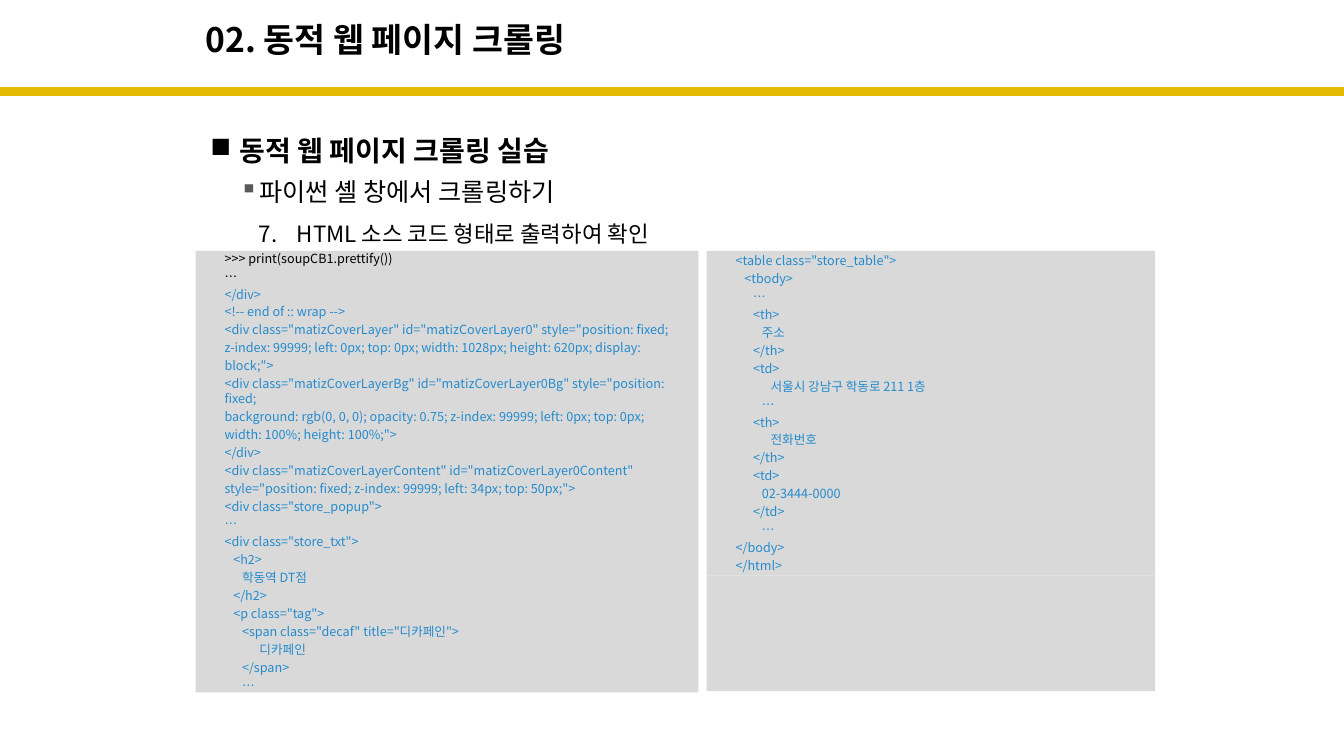
from lxml.etree import SubElement
from pptx import Presentation
from pptx.dml.color import RGBColor
from pptx.enum.shapes import MSO_CONNECTOR, MSO_SHAPE
from pptx.enum.text import MSO_ANCHOR, PP_ALIGN
from pptx.oxml.ns import qn
from pptx.util import Cm, Pt

NOTO = "Noto Sans CJK KR"
BLACK, BLUE, GRAY, GOLD = "000000", "258BCD", "D9D9D9", "E4B902"
STEP = 0.22  # code indent per leading space

LEFT = '''>>> print(soupCB1.prettify())
…
</div>
<!-- end of :: wrap -->
<div class="matizCoverLayer" id="matizCoverLayer0" style="position: fixed;
z-index: 99999; left: 0px; top: 0px; width: 1028px; height: 620px; display:
block;">
<div class="matizCoverLayerBg" id="matizCoverLayer0Bg" style="position: fixed;
background: rgb(0, 0, 0); opacity: 0.75; z-index: 99999; left: 0px; top: 0px;
width: 100%; height: 100%;">
</div>
<div class="matizCoverLayerContent" id="matizCoverLayer0Content"
style="position: fixed; z-index: 99999; left: 34px; top: 50px;">
<div class="store_popup">
…
<div class="store_txt">
 <h2>
  학동역 DT점
 </h2>
 <p class="tag">
  <span class="decaf" title="디카페인">
    디카페인
  </span>
  …'''

RIGHT = '''<table class="store_table">
 <tbody>
  …
  <th>
   주소
  </th>
  <td>
    서울시 강남구 학동로 211 1층
   …
  <th>
    전화번호
  </th>
  <td>
   02-3444-0000
  </td>
   …
</body>
</html>'''


def color(text):
    return RGBColor.from_string(text)


def put(item, **form):
    for name, value in form.items():
        setattr(item, name, value)


def write(para, text, size, tint=BLACK, bold=False, face=NOTO, **form):
    run = para.add_run()
    run.text = text
    put(run.font, name=face, size=Pt(size), bold=bold)
    run.font.color.rgb = color(tint)
    SubElement(run.font._element, qn("a:ea")).set("typeface", NOTO)
    put(para, **{"alignment": PP_ALIGN.LEFT, **form})


def indent(para, margin, hang=0):
    props = para._p.get_or_add_pPr()
    props.set("marL", str(Cm(margin)))
    props.set("indent", str(Cm(-hang)))
    return props


def paras(frame, count):
    return [frame.paragraphs[0]] + [frame.add_paragraph() for _ in range(count - 1)]


def header(slide, box):
    # Title and the rule below it
    title = slide.shapes.title
    left, top, width, height = map(Cm, box)
    put(title, left=left, top=top, width=width, height=height)
    put(title.text_frame, vertical_anchor=MSO_ANCHOR.MIDDLE, word_wrap=True)
    write(title.text_frame.paragraphs[0], "02. 동적 웹 페이지 크롤링", 24,
          bold=True, line_spacing=0.9)
    y = Cm(box[1] + box[3] + 0.51)
    rule = slide.shapes.add_connector(MSO_CONNECTOR.STRAIGHT, 0, y, deck.slide_width, y)
    rule.line.color.rgb = color(GOLD)
    rule.line.width = Pt(6)
    SubElement(rule._element.spPr, qn("a:effectLst"))


def outline(slide, box):
    # Heading, bullet and numbered step
    frame = slide.shapes.add_textbox(*map(Cm, box)).text_frame
    frame.word_wrap = True
    rows = [
        ("동적 웹 페이지 크롤링 실습", 20, True, "Arial", 0.74, 0.74, 36, 0, 0, "■", BLACK),
        ("파이썬 셸 창에서 크롤링하기", 18, False, NOTO, 1.24, 0.5, 23, 5, 4, "▪", "595959"),
        ("HTML 소스 코드 형태로 출력하여 확인", 16, False, NOTO, 2.18, 0.96, 20, 5, 3, 7, BLACK),
    ]
    for para, row in zip(paras(frame, len(rows)), rows):
        text, size, bold, face, margin, hang, line, before, after, mark, tint = row
        write(para, text, size, bold=bold, face=face, line_spacing=Pt(line),
              space_before=Pt(before), space_after=Pt(after))
        props = indent(para, margin, hang)
        fill = SubElement(props, qn("a:buClr"))
        SubElement(fill, qn("a:srgbClr")).set("val", tint)
        if isinstance(mark, int):
            auto = SubElement(props, qn("a:buAutoNum"))
            auto.set("type", "arabicPeriod")
            auto.set("startAt", str(mark))
        else:
            SubElement(props, qn("a:buChar")).set("char", mark)


def panel(slide, box, code="", dark=0):
    # Gray code panel; the first `dark` lines are black
    shape = slide.shapes.add_shape(MSO_SHAPE.RECTANGLE, *map(Cm, box))
    shape.shadow.inherit = False
    shape.fill.solid()
    shape.fill.fore_color.rgb = color(GRAY)
    shape.line.fill.background()
    frame = shape.text_frame
    put(frame, word_wrap=True, vertical_anchor=MSO_ANCHOR.MIDDLE)
    lines = code.splitlines()
    for spot, (para, line) in enumerate(zip(paras(frame, len(lines)), lines)):
        text = line.lstrip()
        write(para, text, 9, BLACK if spot < dark else BLUE, line_spacing=Pt(10.8),
              space_before=Pt(1), space_after=Pt(1))
        indent(para, 0.48 + STEP * (len(line) - len(text)))


deck = Presentation()
put(deck, slide_width=Cm(33.87), slide_height=Cm(19.05))
page = deck.slides.add_slide(deck.slide_layouts[5])

header(page, (4.93, 0.28, 21, 1.52))
outline(page, (5.05, 2.82, 24, 3.5))
panel(page, (4.93, 6.32, 12.67, 11.13), LEFT, dark=2)
panel(page, (17.81, 6.32, 11.3, 8.18), RIGHT)
panel(page, (17.81, 14.5, 11.3, 2.92))

deck.save("out.pptx")
